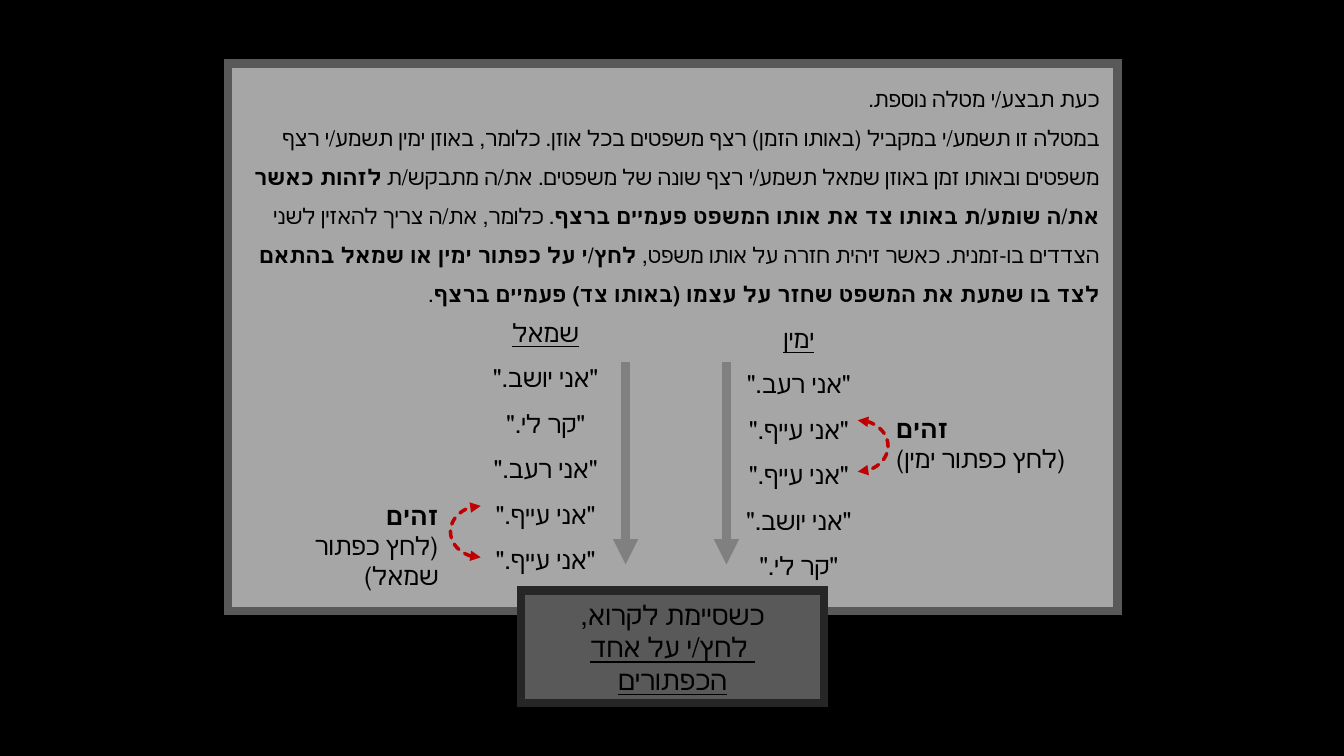
from lxml.etree import SubElement
from pptx import Presentation
from pptx.dml.color import RGBColor
from pptx.enum.dml import MSO_LINE
from pptx.enum.shapes import MSO_CONNECTOR, MSO_SHAPE
from pptx.enum.text import MSO_ANCHOR, PP_ALIGN
from pptx.oxml.ns import qn
from pptx.util import Pt

BLACK = RGBColor(0x00, 0x00, 0x00)
PANEL = RGBColor(0xA6, 0xA6, 0xA6)
DARK = RGBColor(0x59, 0x59, 0x59)
DARKER = RGBColor(0x26, 0x26, 0x26)
ARROW = RGBColor(0x80, 0x80, 0x80)
RED = RGBColor(0xC0, 0x00, 0x00)
FONT = "Arial"

INSTRUCTIONS = [
    [("כעת תבצע/י מטלה נוספת.", "")],
    [
        ("במטלה זו תשמע/י במקביל (באותו הזמן) רצף משפטים בכל אוזן. כלומר, באוזן ימין תשמע/י רצף "
         "משפטים ובאותו זמן באוזן שמאל תשמע/י רצף שונה של משפטים. את/ה מתבקש/ת ", ""),
        ("לזהות כאשר את/ה שומע/ת באותו צד את אותו המשפט פעמיים ברצף", "b"),
        (". כלומר, את/ה צריך להאזין לשני הצדדים בו-זמנית. כאשר זיהית חזרה על אותו משפט, ", ""),
        ("לחץ/י על כפתור ימין או שמאל בהתאם לצד בו שמעת את המשפט שחזר על עצמו "
         "(באותו צד) פעמיים ברצף", "b"),
        (".", ""),
    ],
]
BUTTON = [[("כשסיימת לקרוא,", "")], [(" לחץ/י על אחד הכפתורים", "u")]]
HUNGRY, TIRED, SITTING, COLD = '"אני רעב."', '"אני עייף."', '"אני יושב."', '"קר לי."'


def write_text(sp, paragraphs, size=18, align=PP_ALIGN.CENTER, spacing=None,
               anchor=MSO_ANCHOR.TOP, inset=(7.2, 3.6)):
    tf = sp.text_frame
    tf.word_wrap = True
    tf.vertical_anchor = anchor
    tf.margin_left = tf.margin_right = Pt(inset[0])
    tf.margin_top = tf.margin_bottom = Pt(inset[1])
    for i, runs in enumerate(paragraphs):
        p = tf.paragraphs[0] if i == 0 else tf.add_paragraph()
        p.alignment = align
        p.line_spacing = spacing
        p._p.get_or_add_pPr().set("rtl", "1")
        for text, style in runs:
            r = p.add_run()
            r.text = text
            r.font.name = FONT
            r.font.size = Pt(size)
            r.font.color.rgb = BLACK
            r.font.bold = style == "b"
            r.font.underline = style == "u"


def add_text(shapes, x, y, w, h, paragraphs, **fmt):
    write_text(shapes.add_textbox(Pt(x), Pt(y), Pt(w), Pt(h)), paragraphs, **fmt)


def add_panel(shapes, box, fill, line, paragraphs, **fmt):
    sp = shapes.add_shape(MSO_SHAPE.RECTANGLE, *map(Pt, box))
    sp.shadow.inherit = False
    sp.fill.solid()
    sp.fill.fore_color.rgb = fill
    sp.line.color.rgb = line
    sp.line.width = Pt(6)
    SubElement(sp.line._get_or_add_ln(), qn("a:miter"), lim="800000")
    write_text(sp, paragraphs, inset=(13, 6.5), **fmt)


def add_heads(line, *ends):
    for end in ends:
        SubElement(line._get_or_add_ln(), qn("a:" + end), type="triangle")


def add_time_arrow(shapes, x, top, bottom):
    cn = shapes.add_connector(MSO_CONNECTOR.STRAIGHT, Pt(x), Pt(top), Pt(x), Pt(bottom))
    cn.line.color.rgb = ARROW
    cn.line.width = Pt(6)
    add_heads(cn.line, "tailEnd")
    SubElement(cn._element.spPr, qn("a:effectLst"))


def add_repeat_bracket(shapes, x, y, rotation):
    sp = shapes.add_shape(MSO_SHAPE.LEFT_BRACKET, Pt(x), Pt(y), Pt(21.6), Pt(36.7))
    sp.adjustments[0] = 0.85
    sp.rotation = rotation
    sp.shadow.inherit = False
    sp.fill.background()
    sp.line.color.rgb = RED
    sp.line.width = Pt(2.5)
    sp.line.dash_style = MSO_LINE.SQUARE_DOT
    sp.line._get_or_add_ln().set("cap", "rnd")
    add_heads(sp.line, "headEnd", "tailEnd")


def add_side(slide, box, title, sentences, hint, arrow_dx, bracket, label, rotation, align):
    x, y, w, h = box
    shapes = slide.shapes.add_group_shape().shapes
    add_time_arrow(shapes, x + arrow_dx, 258.5, 403.2)
    add_repeat_bracket(shapes, x + bracket[0], y + bracket[1], rotation)
    add_text(shapes, x + label[0], y + label[1], label[2], label[3],
             [[("זהים", "b")], [(hint, "")]], align=align)
    add_text(shapes, x, y, w, h, [[(title, "u")]] + [[(s, "")] for s in sentences], spacing=1.5)


def main():
    prs = Presentation()
    prs.slide_width, prs.slide_height = Pt(960), Pt(540)
    s = prs.slides.add_slide(prs.slide_layouts[6])
    s.background.fill.solid()
    s.background.fill.fore_color.rgb = BLACK

    add_panel(s.shapes, (162.7, 45.4, 635.5, 391), PANEL, DARK, INSTRUCTIONS,
              size=15.5, align=PP_ALIGN.RIGHT, spacing=1.5)
    add_panel(s.shapes, (372.2, 421.9, 216.4, 80.4), DARK, DARKER, BUTTON,
              size=19.4, anchor=MSO_ANCHOR.MIDDLE)
    add_side(s, (339.8, 212.4, 100, 203.8), "שמאל", [SITTING, COLD, HUNGRY, TIRED, TIRED],
             "(לחץ כפתור שמאל)", arrow_dx=107.1, bracket=(-18, 149),
             label=(-169.9, 141.1, 150.5, 72.7), rotation=0, align=PP_ALIGN.RIGHT)
    add_side(s, (520.6, 216.7, 100, 203.8), "ימין", [HUNGRY, TIRED, TIRED, SITTING, COLD],
             "(לחץ כפתור ימין)", arrow_dx=-1.7, bracket=(92.1, 83.5),
             label=(112.3, 74.9, 151.9, 51.1), rotation=180, align=PP_ALIGN.LEFT)
    prs.save("out.pptx")


if __name__ == "__main__":
    main()
